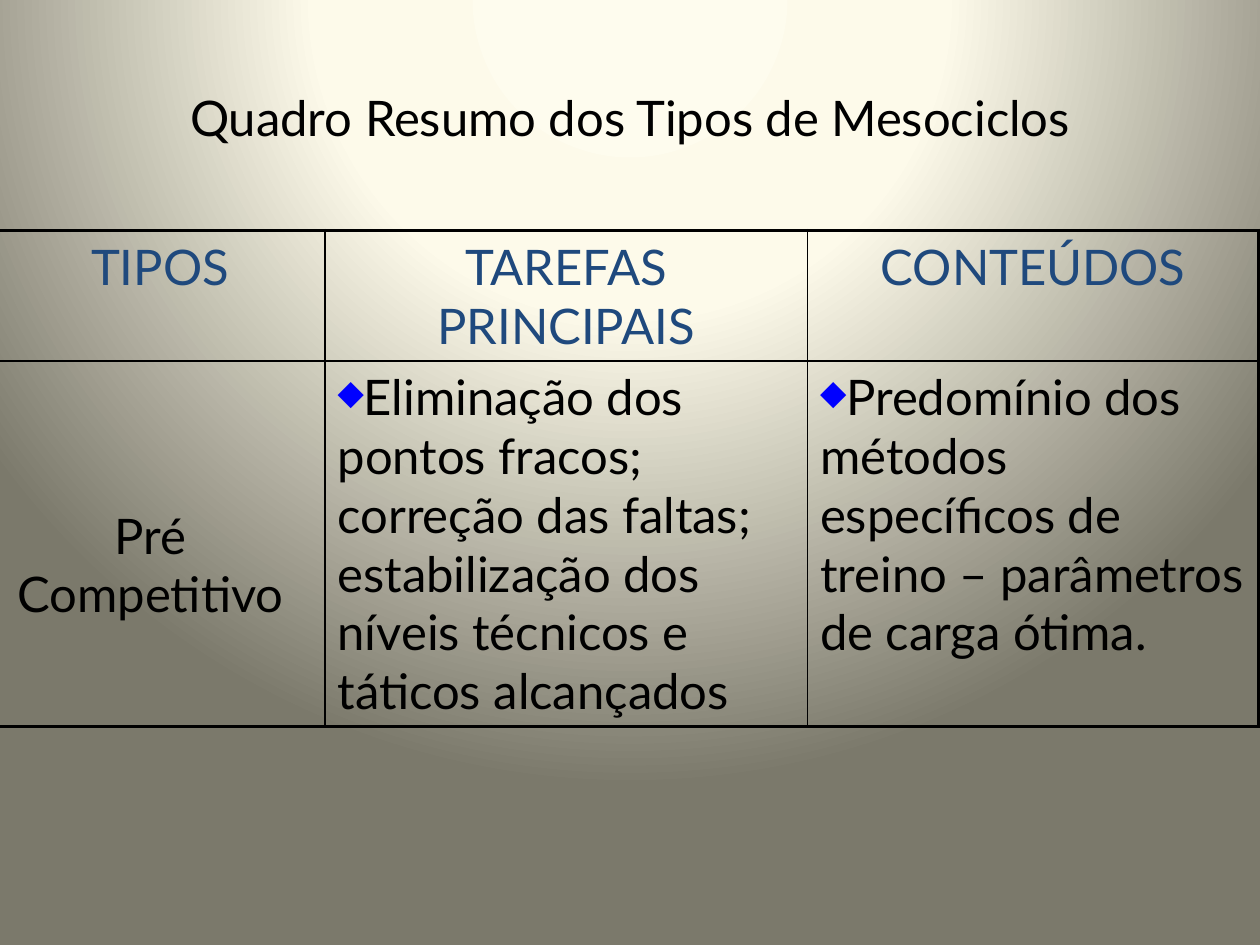
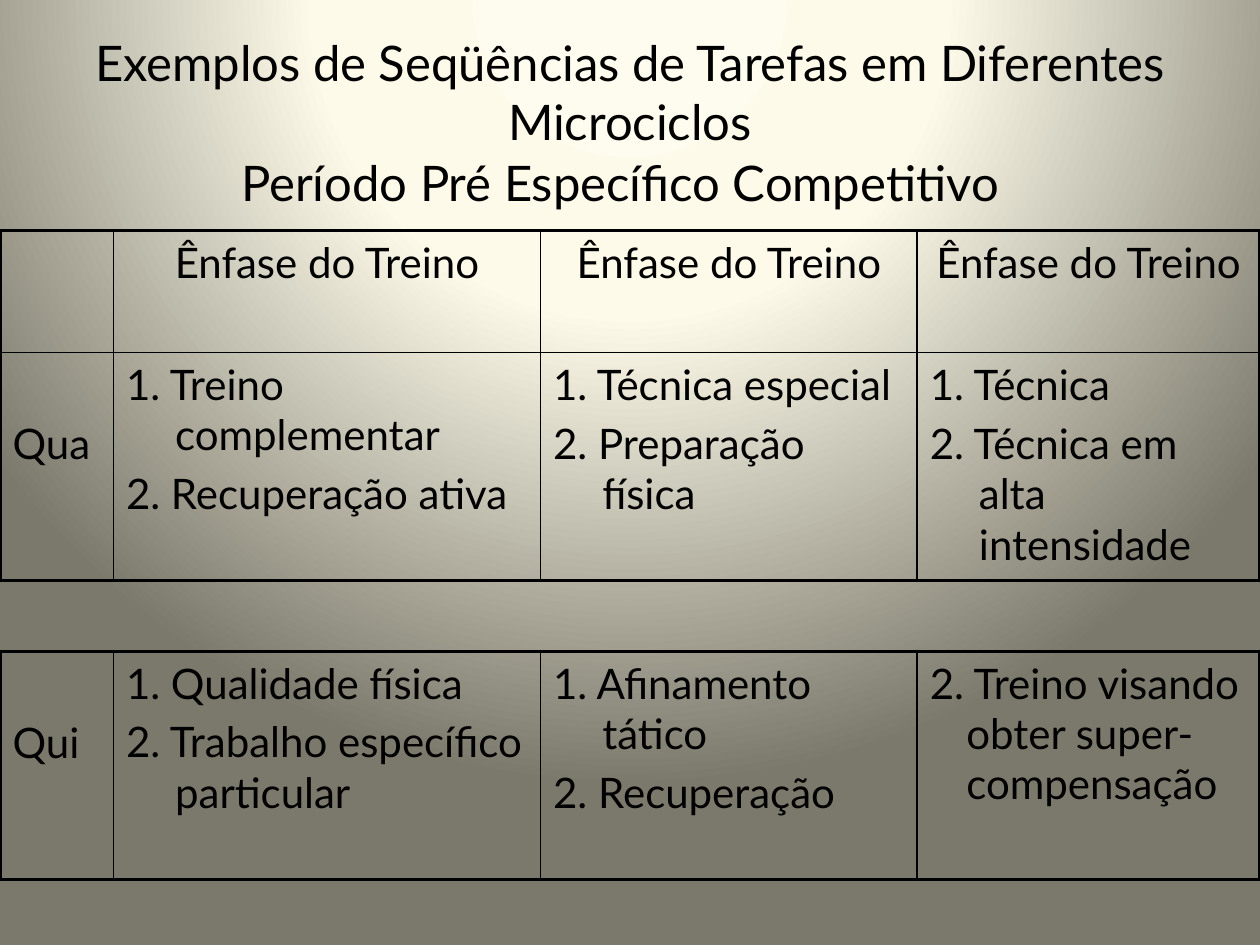
from dataclasses import dataclass
from typing import Optional

from lxml.etree import SubElement
from pptx import Presentation
from pptx.dml.color import RGBColor
from pptx.enum.text import MSO_ANCHOR as Anchor, PP_ALIGN as Align
from pptx.oxml.ns import qn
from pptx.slide import Slide
from pptx.table import _Cell as TableCell
from pptx.util import Inches, Pt

FONT = "Lato"
COLORS = {
    "text": "000000",
    "header": "1F497D",
    "bullet": "0000FF",
    "border": "000000",
    "glow": "FEFCEE",
    "cream": "FDFAEA",
    "olive": "7B796B",
}
STOPS = [(0, "glow"), (40, "cream"), (100, "olive")]
THIN, THICK = 1, 2.25
TABLE_TOP = 1.83
WEEK_COLS = [0.9, 3.39, 2.99, 2.72]
DAY_HEIGHT = 1.81


@dataclass
class Cell:
    lines: tuple[str, ...] = ()
    align: Align = Align.LEFT
    color: str = "text"
    hang: float = 0
    bullet: Optional[str] = None
    top: float = 0.05
    right: float = 0.1


@dataclass
class Grid:
    left: float
    top: float
    cols: list[float]
    heights: list[float]
    size: int
    rows: list[list[Cell]]


def header(text: str, color: str = "text") -> Cell:
    return Cell((text,), Align.CENTER, color)


def task(text: str) -> Cell:
    return Cell((text,), bullet="◆")


def steps(*lines: str, hang: float = 0.39) -> Cell:
    return Cell(lines, hang=hang)


def day(name: str) -> Cell:
    return Cell((name,), top=0.52)


def add_color(parent, name: str) -> None:
    SubElement(parent, qn("a:srgbClr"), val=COLORS[name])


def new_slide(prs: Presentation) -> Slide:
    s = prs.slides.add_slide(prs.slide_layouts[6])
    s.background.fill.gradient()
    grad = next(s.element.iter(qn("a:gradFill")))
    for child in list(grad):
        grad.remove(child)
    stops = SubElement(grad, qn("a:gsLst"))
    for position, name in STOPS:
        add_color(SubElement(stops, qn("a:gs"), pos=str(position * 1000)), name)
    circle = SubElement(grad, qn("a:path"), path="circle")
    SubElement(circle, qn("a:fillToRect"), l="50000", t="-80000", r="50000", b="180000")
    return s


def style(p, size: int, color: str, align: Align) -> None:
    p.alignment = align
    p.font.name = FONT
    p.font.size = Pt(size)
    p.font.color.rgb = RGBColor.from_string(COLORS[color])


def add_heading(s: Slide, text: str, left: float, top: float, width: float,
                height: float, anchor: Anchor = Anchor.MIDDLE) -> None:
    tf = s.shapes.add_textbox(Inches(left), Inches(top), Inches(width), Inches(height)).text_frame
    tf.word_wrap = True
    tf.vertical_anchor = anchor
    p = tf.paragraphs[0]
    p.text = text
    style(p, 28, "text", Align.CENTER)


def add_title(s: Slide, text: str, top: float) -> None:
    add_heading(s, text, 0.5, top, 9, 1.25)


def set_borders(cell: TableCell, widths: dict[str, float]) -> None:
    props = cell._tc.get_or_add_tcPr()
    for side, width in widths.items():
        line = SubElement(props, qn(f"a:ln{side}"), w=str(Pt(width)))
        add_color(SubElement(line, qn("a:solidFill")), "border")


def fill_cell(cell: TableCell, spec: Cell, size: int) -> None:
    cell.fill.background()
    cell.margin_top = Inches(spec.top)
    cell.margin_right = Inches(spec.right)
    tf = cell.text_frame
    for i, line in enumerate(spec.lines):
        p = tf.add_paragraph() if i else tf.paragraphs[0]
        p.text = line
        if i:
            p.space_before = Pt(size * 0.2)
        props = p._p.get_or_add_pPr()
        if spec.hang:
            props.set("marL", str(Inches(spec.hang)))
            props.set("indent", str(-Inches(spec.hang)))
        if spec.bullet:
            add_color(SubElement(props, qn("a:buClr")), "bullet")
            SubElement(props, qn("a:buSzPct"), val="70000")
            SubElement(props, qn("a:buChar"), char=spec.bullet)
        style(p, size, spec.color, spec.align)


def add_grid(s: Slide, grid: Grid) -> None:
    n_rows, n_cols = len(grid.heights), len(grid.cols)
    table = s.shapes.add_table(n_rows, n_cols, Inches(grid.left), Inches(grid.top),
                               Inches(sum(grid.cols)), Inches(sum(grid.heights))).table
    table.first_row = table.horz_banding = False
    for column, width in zip(table.columns, grid.cols):
        column.width = Inches(width)
    for r, (row, height) in enumerate(zip(grid.rows, grid.heights)):
        table.rows[r].height = Inches(height)
        for c, spec in enumerate(row):
            outer = {"L": c == 0, "R": c == n_cols - 1, "T": r == 0, "B": r == n_rows - 1}
            cell = table.cell(r, c)
            set_borders(cell, {side: THICK if edge else THIN for side, edge in outer.items()})
            fill_cell(cell, spec, grid.size)


MESOCYCLES = Grid(-0.04, TABLE_TOP, [2.62, 3.83, 3.58], [1.03, 2.9], 28, [
    [header(text, "header") for text in ("TIPOS", "TAREFAS PRINCIPAIS", "CONTEÚDOS")],
    [
        Cell(("Pré Competitivo",), Align.CENTER, top=1.15, right=0.25),
        task("Eliminação dos pontos fracos; correção das faltas; "
             "estabilização dos níveis técnicos e táticos alcançados"),
        task("Predomínio dos métodos específicos de treino – parâmetros de carga ótima."),
    ],
])

WEDNESDAY = Grid(0, TABLE_TOP, WEEK_COLS, [0.97, DAY_HEIGHT], 24, [
    [Cell()] + [header("Ênfase do Treino")] * 3,
    [
        day("Qua"),
        steps("1. Treino complementar", "2. Recuperação ativa"),
        steps("1. Técnica especial", "2. Preparação física"),
        steps("1. Técnica", "2. Técnica em alta intensidade"),
    ],
])

THURSDAY = Grid(0, 5.17, WEEK_COLS, [DAY_HEIGHT], 24, [
    [
        day("Qui"),
        steps("1. Qualidade física", "2. Trabalho específico particular"),
        steps("1. Afinamento tático", "2. Recuperação"),
        steps("2. Treino visando obter super-compensação", hang=0.29),
    ],
])


def build_mesocycles(prs: Presentation) -> None:
    s = new_slide(prs)
    add_title(s, "Quadro Resumo dos Tipos de Mesociclos", 0.3)
    add_grid(s, MESOCYCLES)


def build_microcycles(prs: Presentation) -> None:
    s = new_slide(prs)
    add_title(s, "Exemplos de Seqüências de Tarefas em Diferentes Microciclos", 0.1)
    add_grid(s, WEDNESDAY)
    add_grid(s, THURSDAY)
    add_heading(s, "Período Pré Específico Competitivo", 0.67, 1.16, 8.5, 0.97, Anchor.TOP)


def main() -> None:
    prs = Presentation()
    prs.slide_width, prs.slide_height = Inches(10), Inches(7.5)
    build_mesocycles(prs)
    build_microcycles(prs)
    prs.save("out.pptx")


if __name__ == "__main__":
    main()
